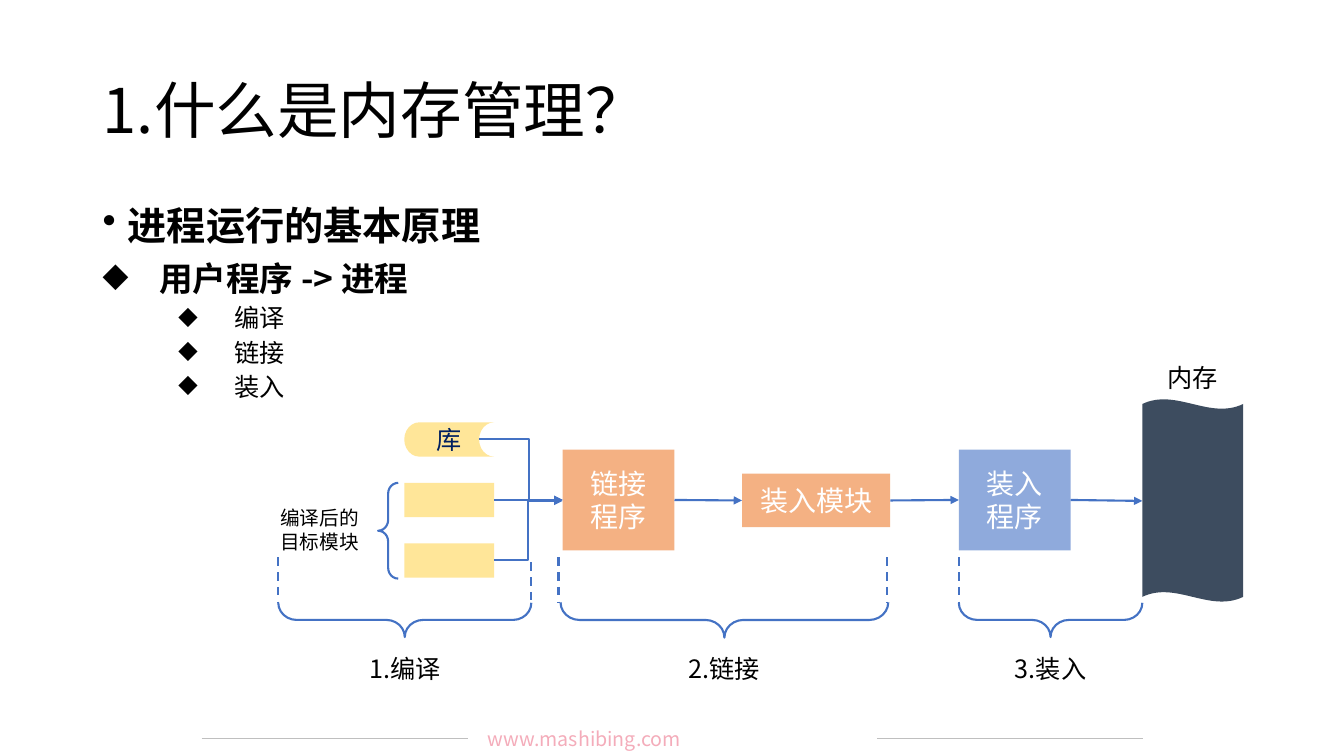
from dataclasses import dataclass

from lxml import etree
from pptx import Presentation
from pptx.dml.color import RGBColor
from pptx.enum.dml import MSO_LINE
from pptx.enum.shapes import MSO_CONNECTOR, MSO_SHAPE
from pptx.enum.text import MSO_ANCHOR, PP_ALIGN
from pptx.oxml.ns import qn
from pptx.util import Inches, Pt

RECT, STORE = MSO_SHAPE.RECTANGLE, MSO_SHAPE.FLOWCHART_STORED_DATA
BRACE, WAVE = MSO_SHAPE.LEFT_BRACE, MSO_SHAPE.WAVE
PLAIN, ELBOW = MSO_CONNECTOR.STRAIGHT, MSO_CONNECTOR.ELBOW
DASH = MSO_LINE.DASH
LEFT, MID, FULL = PP_ALIGN.LEFT, PP_ALIGN.CENTER, PP_ALIGN.JUSTIFY
TOP, CENTRE = MSO_ANCHOR.TOP, MSO_ANCHOR.MIDDLE

FONT = "Noto Sans CJK SC"
HUES = {
    "black": "000000", "white": "FFFFFF", "navy": "002060",
    "yellow": "FFE699", "orange": "F4B183", "blue": "8FAADC",
    "slate": "3D4C5F", "line": "4472C4", "pink": "F4ACBA", "grey": "BFBFBF",
}


@dataclass
class Box:
    x: float
    y: float
    w: float
    h: float
    fill: str
    lines: tuple = ()
    size: int = 20
    hue: str = "white"
    kind: int = RECT


@dataclass
class Label:
    x: float
    y: float
    w: float
    h: float
    lines: tuple
    size: int = 18
    hue: str = "black"
    align: int = MID
    anchor: int = TOP
    wrap: bool = False


@dataclass
class Item:
    text: str
    size: int
    bold: bool
    mark: str
    left: float
    hang: float
    gap: int
    level: int = 0


@dataclass
class Stage:
    name: str
    left: float
    right: float
    depth: float
    dashes: tuple


def color(key: str) -> RGBColor:
    return RGBColor.from_string(HUES[key])


def add_run(para, text: str, size: int, hue: str, bold: bool = False) -> None:
    run = para.add_run()
    run.text = text
    font = run.font
    font.size, font.bold = Pt(size), bold
    font.color.rgb = color(hue)
    font.name = FONT
    etree.SubElement(run._r.get_or_add_rPr(), qn("a:ea"), typeface=FONT)


def write(frame, lines: tuple, size: int, hue: str, align: int) -> None:
    for i, text in enumerate(lines):
        para = frame.add_paragraph() if i else frame.paragraphs[0]
        para.alignment = align
        add_run(para, text, size, hue)


def add_box(slide, box: Box):
    shape = slide.shapes.add_shape(
        box.kind, Inches(box.x), Inches(box.y), Inches(box.w), Inches(box.h))
    shape.shadow.inherit = False
    shape.fill.solid()
    shape.fill.fore_color.rgb = color(box.fill)
    shape.line.fill.background()
    shape.text_frame.vertical_anchor = CENTRE
    write(shape.text_frame, box.lines, box.size, box.hue, MID)
    return shape


def add_label(slide, label: Label):
    area = slide.shapes.add_textbox(
        Inches(label.x), Inches(label.y), Inches(label.w), Inches(label.h))
    frame = area.text_frame
    frame.word_wrap = label.wrap
    frame.vertical_anchor = label.anchor
    write(frame, label.lines, label.size, label.hue, label.align)
    return frame


def add_list(slide, items: list[Item]) -> None:
    frame = add_label(slide, Label(0.92, 2, 11.5, 5.1, (), wrap=True))
    for i, item in enumerate(items):
        para = frame.add_paragraph() if i else frame.paragraphs[0]
        para.level = item.level
        para.alignment = LEFT
        para.line_spacing = 0.9
        para.space_before = Pt(item.gap)
        props = para._p.get_or_add_pPr()
        props.set("marL", str(Inches(item.left)))
        props.set("indent", str(-Inches(item.hang)))
        etree.SubElement(props, qn("a:buChar"), char=item.mark)
        add_run(para, item.text, item.size, "black", item.bold)


def add_line(slide, x1: float, y1: float, x2: float, y2: float, kind: int = PLAIN,
             hue: str = "line", width: float = 1.5, arrow: bool = False,
             dash: bool = False, bend: int = 50000):
    line = slide.shapes.add_connector(
        kind, Inches(x1), Inches(y1), Inches(x2), Inches(y2))
    line.line.color.rgb = color(hue)
    line.line.width = Pt(width)
    if dash:
        line.line.dash_style = DASH
    props = line.element.spPr
    if arrow:
        etree.SubElement(props.find(qn("a:ln")), qn("a:tailEnd"), type="triangle")
    if kind == ELBOW:
        guides = props.find(qn("a:prstGeom")).find(qn("a:avLst"))
        etree.SubElement(guides, qn("a:gd"), name="adj1", fmla=f"val {bend}")
    etree.SubElement(props, qn("a:effectLst"))
    return line


def add_brace(slide, x: float, y: float, w: float, h: float, turn: int = 0) -> None:
    brace = slide.shapes.add_shape(BRACE, Inches(x), Inches(y), Inches(w), Inches(h))
    brace.rotation = turn
    brace.shadow.inherit = False
    brace.fill.background()
    brace.line.color.rgb = color("line")
    brace.line.width = Pt(1.5)
    brace.adjustments[0] = 0.535
    brace.adjustments[1] = 0.5


def add_stage(slide, stage: Stage) -> None:
    span = stage.right - stage.left
    mid = (stage.left + stage.right) / 2
    add_brace(slide, mid - stage.depth / 2, 6.15 - span / 2, stage.depth, span, 270)
    for x, y in stage.dashes:
        add_line(slide, x, y, x, 5.97, dash=True)
    add_label(slide, Label(mid - 0.5, 6.43, 1, 0.4, (stage.name,)))


def main() -> None:
    deck = Presentation()
    deck.slide_width, deck.slide_height = Inches(13.33), Inches(7.5)
    slide = deck.slides.add_slide(deck.slide_layouts[6])

    for x in (2, 8.7):
        add_line(slide, x, 7.33, x + 2.64, 7.33, hue="grey", width=0.5)
    add_label(slide, Label(4.74, 7.16, 3.85, 0.34, ("www.mashibing.com",),
                           14, "pink", FULL, wrap=True))
    title = add_label(slide, Label(0.92, 0.4, 11.5, 1.45, ("1.什么是内存管理？",),
                                   44, align=LEFT, anchor=CENTRE, wrap=True))
    title.paragraphs[0].line_spacing = 0.9
    add_list(slide, [
        Item("进程运行的基本原理", 28, True, "•", 0.25, 0.25, 0),
        Item("用户程序 -> 进程", 24, True, "◆", 0.56, 0.56, 10),
        *(Item(text, 18, False, "◆", 1.31, 0.56, 5, 1)
          for text in ("编译", "链接", "装入")),
    ])

    for y in (5.39, 4.79):
        add_box(slide, Box(4.01, y, 0.89, 0.34, "yellow"))
    add_box(slide, Box(4.01, 4.19, 0.89, 0.34, "yellow", ("库",), 18, "navy", STORE))
    linker = add_box(slide, Box(5.58, 4.46, 1.11, 1, "orange", ("链接", "程序")))
    module = add_box(slide, Box(7.36, 4.7, 1.47, 0.53, "orange", ("装入模块",)))
    loader = add_box(slide, Box(9.51, 4.46, 1.11, 1, "blue", ("装入", "程序")))

    for x, y, end, bend in ((4.75, 4.36, 4.96, 59400), (4.9, 4.96, 4.97, 50000),
                            (4.9, 5.56, 4.96, 50000)):
        add_line(slide, x, y, 5.58, end, ELBOW, arrow=True, bend=bend)
    for start, stop in ((linker, module), (module, loader)):
        link = add_line(slide, 6.69, 4.96, 7.36, 4.96, arrow=True)
        link.begin_connect(start, 3)
        link.end_connect(stop, 1)
    feed = add_line(slide, 10.62, 4.96, 11.33, 4.97, arrow=True)
    feed.begin_connect(loader, 3)

    memory = add_box(slide, Box(11.33, 3.96, 1, 2.01, "slate", kind=WAVE))
    memory.adjustments[0] = 0.024
    memory.adjustments[1] = 0
    add_label(slide, Label(11.33, 3.55, 1, 0.4, ("内存",)))
    add_label(slide, Label(2.65, 4.97, 1.04, 0.57, ("编译后的", "目标模块"), 14))
    add_brace(slide, 3.75, 4.79, 0.2, 0.95)

    for stage in (
        Stage("1.编译", 2.76, 5.27, 0.34, ((2.76, 5.53), (5.27, 5.58))),
        Stage("2.链接", 5.56, 8.81, 0.35, ((5.54, 5.53), (8.8, 5.53))),
        Stage("3.装入", 9.51, 11.33, 0.34, ((9.51, 5.53),)),
    ):
        add_stage(slide, stage)
    deck.save("out.pptx")


if __name__ == "__main__":
    main()
